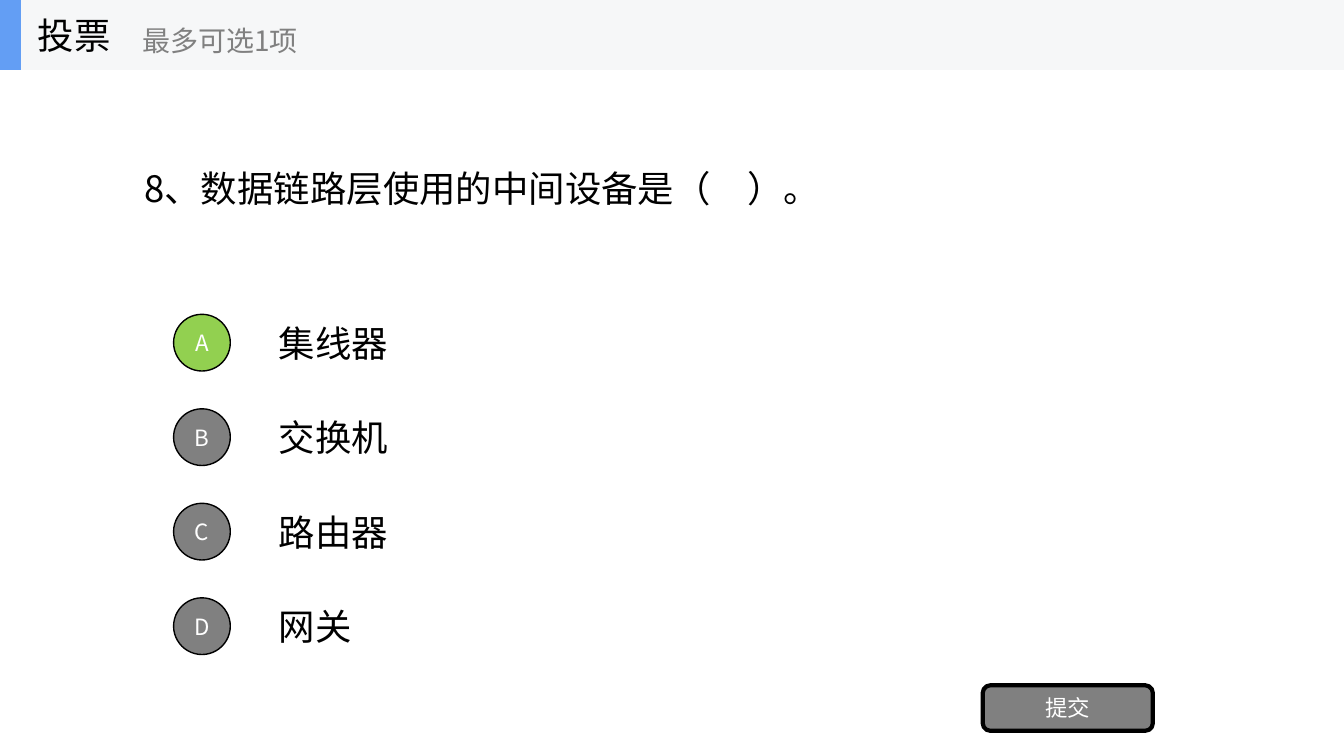
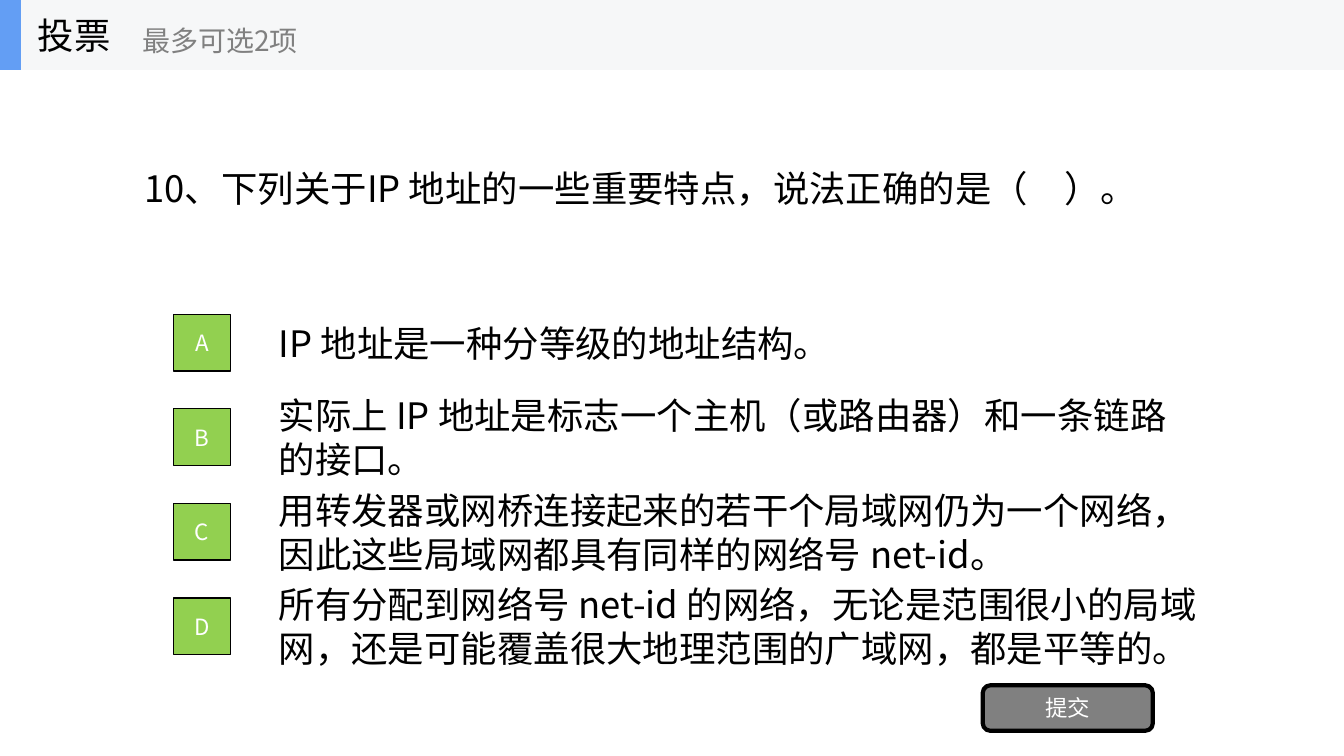
from lxml import etree
from pptx import Presentation
from pptx.dml.color import RGBColor
from pptx.enum.shapes import MSO_SHAPE
from pptx.enum.text import MSO_ANCHOR, PP_ALIGN
from pptx.oxml.ns import qn
from pptx.util import Pt

RECT, OVAL, ROUNDED = MSO_SHAPE.RECTANGLE, MSO_SHAPE.OVAL, MSO_SHAPE.ROUNDED_RECTANGLE
LEFT, CENTER, MIDDLE = PP_ALIGN.LEFT, PP_ALIGN.CENTER, MSO_ANCHOR.MIDDLE

BLACK = RGBColor(0x00, 0x00, 0x00)
WHITE = RGBColor(0xFF, 0xFF, 0xFF)
GRAY = RGBColor(0x80, 0x80, 0x80)
GREEN = RGBColor(0x92, 0xD0, 0x50)
BLUE = RGBColor(0x63, 0x9E, 0xF4)
BAND = RGBColor(0xF6, 0xF7, 0xF8)

FONT = "Noto Sans CJK SC"
PX = 6350
SLIDE_W, SLIDE_H = 1920, 1080
HEADER_H = 100
OPTION_TOP, OPTION_H, OPTION_STEP = 439, 101, 135
BADGE = 81

BODY = {"size": Pt(26), "color": BLACK, "align": LEFT, "wrap": True}
TITLE = {**BODY, "wrap": False}
HINT = {**TITLE, "size": Pt(20), "color": GRAY}
LABEL = {"size": Pt(16), "color": WHITE, "align": CENTER, "wrap": True}

POLLS = [
    {
        "limit": 1,
        "badge": OVAL,
        "question": "8、数据链路层使用的中间设备是（　）。",
        "options": ["集线器", "交换机", "路由器", "网关"],
        "answers": "A",
    },
    {
        "limit": 2,
        "badge": RECT,
        "question": "10、下列关于IP 地址的一些重要特点，说法正确的是（　）。",
        "options": [
            "IP 地址是一种分等级的地址结构。",
            "实际上 IP 地址是标志一个主机（或路由器）和一条链路的接口。",
            "用转发器或网桥连接起来的若干个局域网仍为一个网络，因此这些局域网都具有同样的网络号 net-id。",
            "所有分配到网络号 net-id 的网络，无论是范围很小的局域网，还是可能覆盖很大地理范围的广域网，都是平等的。",
        ],
        "answers": "ABCD",
    },
]


def add_text(shapes, box, text, style, sp=None):
    sp = sp or shapes.add_textbox(*[v * PX for v in box])
    tf = sp.text_frame
    tf.word_wrap = style["wrap"]
    tf.vertical_anchor = MIDDLE
    p = tf.paragraphs[0]
    p.alignment = style["align"]
    r = p.add_run()
    r.text = text
    for name, value in {"name": FONT, "size": style["size"]}.items():
        setattr(r.font, name, value)
    r.font.color.rgb = style["color"]
    etree.SubElement(r.font._element, qn("a:ea"), typeface=FONT)


def add_box(shapes, kind, box, fill, line=0, text=None):
    sp = shapes.add_shape(kind, *[v * PX for v in box])
    sp.shadow.inherit = False
    sp.fill.solid()
    sp.fill.fore_color.rgb = fill
    if line:
        sp.line.color.rgb = BLACK
        sp.line.width = Pt(line)
    else:
        sp.line.fill.background()
    if text:
        add_text(shapes, box, text, LABEL, sp)


prs = Presentation()
prs.slide_width, prs.slide_height = SLIDE_W * PX, SLIDE_H * PX

for poll in POLLS:
    s = prs.slides.add_slide(prs.slide_layouts[6])
    add_text(s.shapes, (192, HEADER_H, 1536, 337), poll["question"], BODY)

    for i, (letter, option) in enumerate(zip("ABCD", poll["options"])):
        top = OPTION_TOP + i * OPTION_STEP
        add_text(s.shapes, (384, top, 1344, OPTION_H), option, BODY)
        fill = GREEN if letter in poll["answers"] else GRAY
        badge_top = top + (OPTION_H - BADGE) // 2
        add_box(s.shapes, poll["badge"], (248, badge_top, BADGE, BADGE), fill, 1, letter)

    add_box(s.shapes, ROUNDED, (1404, 979, 243, 65), GRAY, 3, "提交")

    header = s.shapes.add_group_shape().shapes
    add_box(header, RECT, (0, 0, SLIDE_W, HEADER_H), BAND)
    add_box(header, RECT, (0, 0, 30, HEADER_H), BLUE)
    add_text(header, (40, 0, 300, HEADER_H), "投票", TITLE)
    add_text(header, (189, 18, 360, 80), f"最多可选{poll['limit']}项", HINT)

prs.save("out.pptx")
